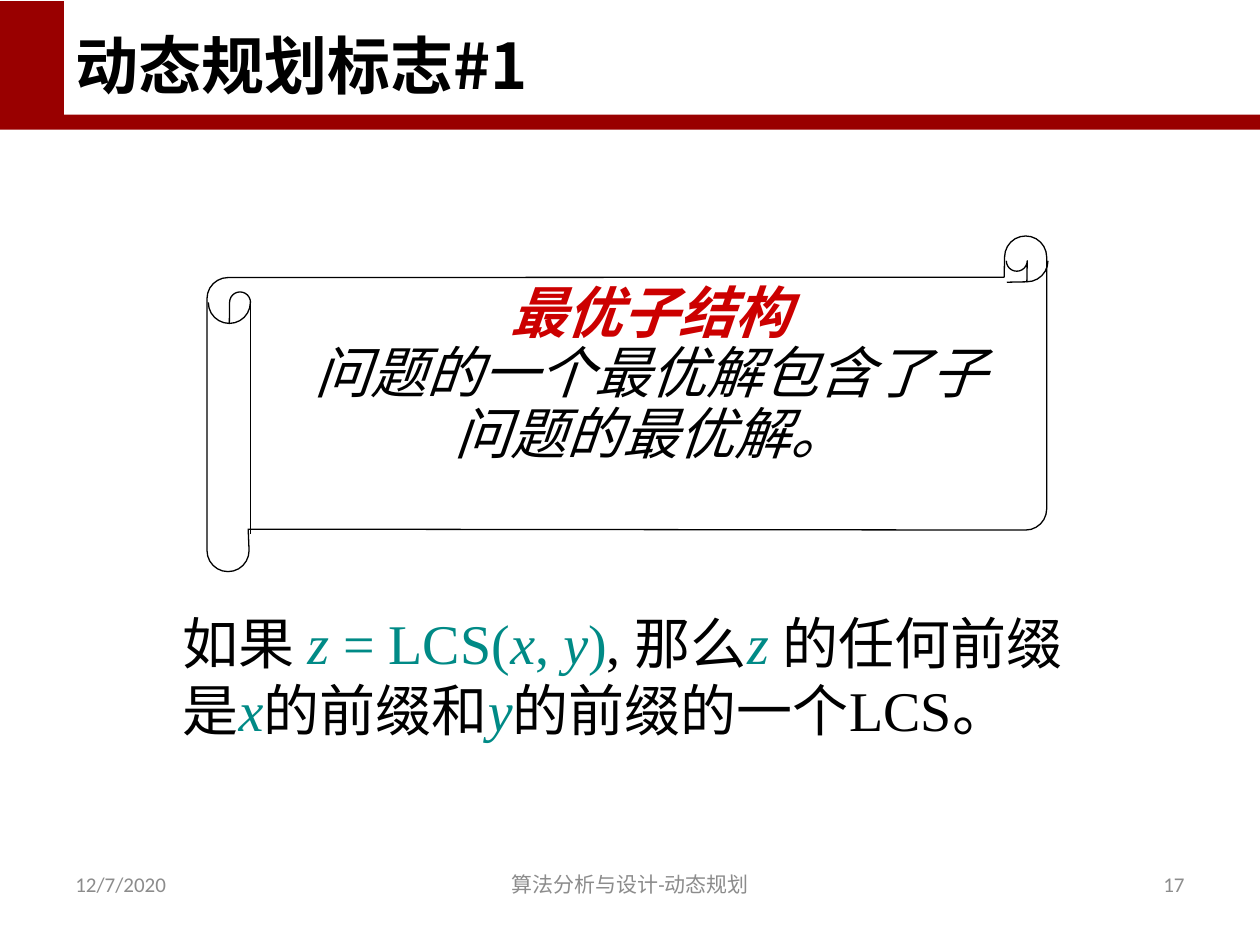
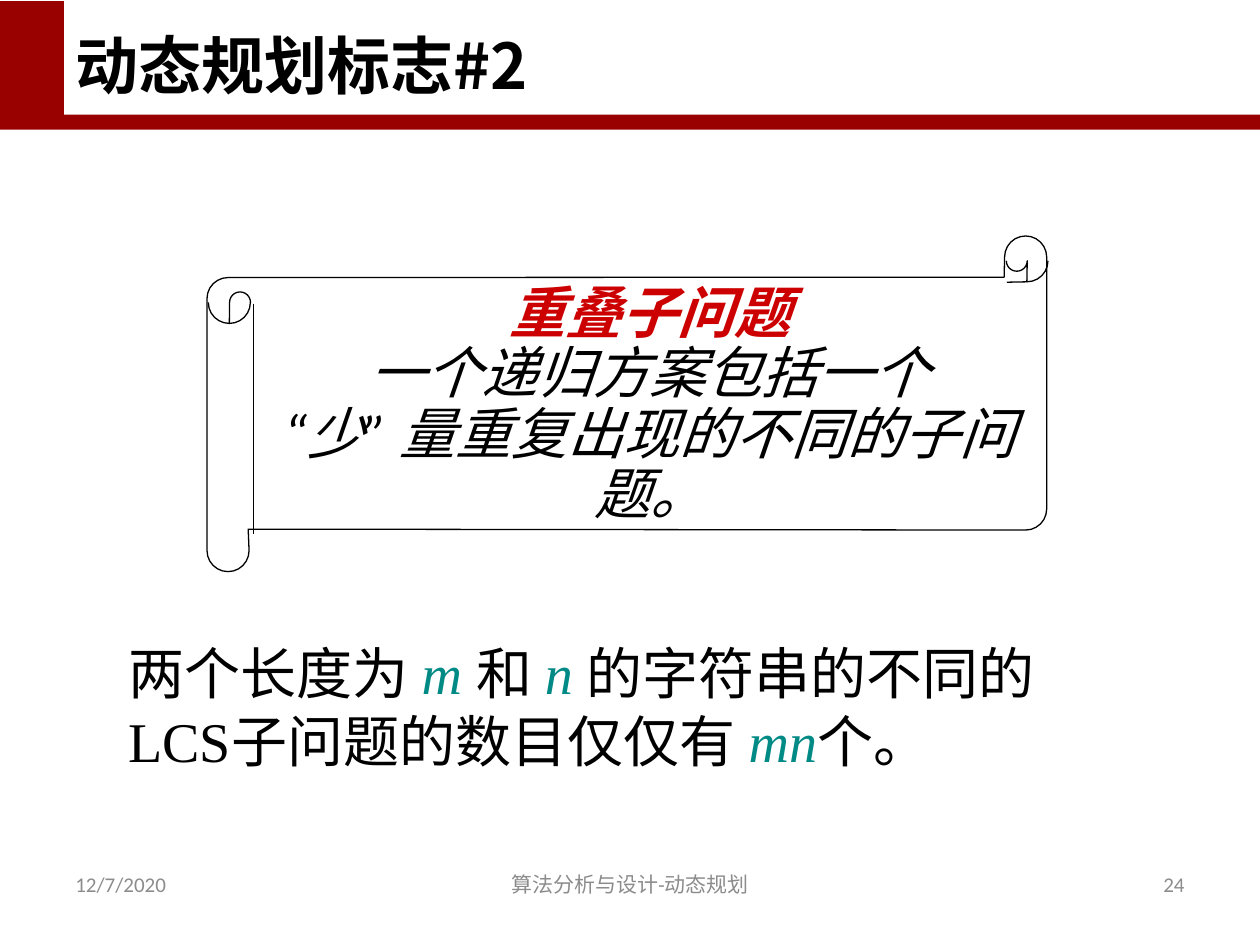
"""Build two slides on the hallmarks of dynamic programming."""
import dataclasses
import math

import pptx
import pptx.dml.color
import pptx.enum.shapes
import pptx.enum.text
import pptx.oxml.ns
import pptx.util
from lxml import etree


@dataclasses.dataclass(frozen=True)
class Style:
    size: int
    color: str
    font: str = "Times New Roman"
    asian_font: str = "Calibri"
    bold: bool = False
    italic: bool = False


@dataclasses.dataclass(frozen=True)
class Theme:
    band: str = "990000"
    paper: str = "FFFFFF"
    ink: str = "000000"
    outline_points: float = 0.75
    title: Style = Style(36, "000000", "Noto Sans CJK SC", "Noto Sans CJK SC", bold=True)
    footer: Style = Style(12, "8C8C8C", "Calibri")
    body: Style = Style(32, "000000")
    formula: Style = Style(32, "008A86")
    variable: Style = Style(32, "008A86", italic=True)
    hallmark: Style = Style(32, "CC0000", bold=True, italic=True)
    statement: Style = Style(32, "000000", italic=True)


theme = Theme()
rgb = pptx.dml.color.RGBColor.from_string
align = pptx.enum.text.PP_ALIGN
anchor = pptx.enum.text.MSO_ANCHOR

presentation = pptx.Presentation()
presentation.slide_width = pptx.util.Inches(10)
presentation.slide_height = pptx.util.Inches(7.5)
column = presentation.slide_width // 100
row = presentation.slide_height // 75


def arc(center_x, center_y, radius, start, end):
    """Return grid points along an arc, in clockwise degrees from the right."""
    steps = abs(end - start) // 15
    angles = [math.radians(start + (end - start) * step / steps) for step in range(steps + 1)]
    return [(center_x + radius * math.cos(a), center_y + radius * math.sin(a)) for a in angles]


def add_text(slide, box, paragraphs, alignment=align.LEFT, vertical=anchor.TOP,
             margins=(0, 0), spacing=1.0, indent=0):
    """Add a text box on the grid, one run per (text, style) pair."""
    left, top, width, height = box
    shape = slide.shapes.add_textbox(
        round(left * column), round(top * row), round(width * column), round(height * row))
    frame = shape.text_frame
    frame.word_wrap = True
    frame.vertical_anchor = vertical
    frame.margin_left = frame.margin_right = round(margins[0] * column)
    frame.margin_top = frame.margin_bottom = round(margins[1] * row)
    for index, runs in enumerate(paragraphs):
        paragraph = frame.paragraphs[0] if index == 0 else frame.add_paragraph()
        paragraph.alignment = alignment
        paragraph.line_spacing = spacing
        if indent:
            properties = paragraph._p.get_or_add_pPr()
            properties.set("marL", str(indent * column))
            properties.set("indent", "0")
        for text, style in runs:
            run = paragraph.add_run()
            run.text = text
            run.font.name = style.font
            run.font.size = pptx.util.Pt(style.size)
            run.font.bold = style.bold
            run.font.italic = style.italic
            run.font.color.rgb = rgb(style.color)
            asian = etree.SubElement(run._r.get_or_add_rPr(), pptx.oxml.ns.qn("a:ea"))
            asian.set("typeface", style.asian_font)


scroll_outline = [
    *arc(18.1, 23.7, 1.67, 180, 270), (79.7, 22),
    *arc(81.4, 20.4, 1.67, 180, 360),
    *arc(81.4, 40.4, 1.67, 0, 90), (19.7, 42),
    *arc(18.1, 43.7, 1.67, 0, 180),
]
left_curl = [*arc(18.2, 24, 1.67, 180, 0), *arc(19.05, 24, 0.83, 0, -180), (18.2, 25.7)]
right_fold = [*arc(81.5, 20.7, 1.67, 0, 90), (79.9, 22.4)]
right_curl = [*arc(80.7, 20.7, 0.83, 180, 0), (81.5, 22.4)]
scroll_parts = [(scroll_outline, True), (left_curl, False),
                (right_fold, False), (right_curl, False)]
bands = [((0, 0.1, 100, 10.2), theme.band), ((5.1, 0, 94.9, 9.1), theme.paper)]

hallmarks = [
    {
        "title": "动态规划标志#1",
        "page": "17",
        "spine": (19.9, 24),
        "scroll_box": (21.2, 22.6, 58.9, 20.4),
        "scroll": [("最优子结构", theme.hallmark),
                   ("问题的一个最优解包含了子问题的最优解。", theme.statement)],
        "example_box": (14.5, 48.3, 72.3, 9.2),
        "example": [
            ("如果 ", theme.body), ("z ", theme.variable), ("= LCS(", theme.formula),
            ("x", theme.variable), (", ", theme.formula), ("y", theme.variable),
            (")", theme.formula), (", 那么", theme.body), ("z ", theme.variable),
            ("的任何前缀 是", theme.body), ("x", theme.variable), ("的前缀和", theme.body),
            ("y", theme.variable), ("的前缀的一个LCS。", theme.body),
        ],
    },
    {
        "title": "动态规划标志#2",
        "page": "24",
        "spine": (20.1, 24.1),
        "scroll_box": (18.9, 22.6, 63.4, 20.4),
        "scroll": [("重叠子问题", theme.hallmark),
                   ("一个递归方案包括一个", theme.statement),
                   ("“少” 量重复出现的不同的子问题。", theme.statement)],
        "example_box": (10.2, 50.7, 80, 9.2),
        "example": [
            ("两个长度为 ", theme.body), ("m ", theme.variable), ("和 ", theme.body),
            ("n ", theme.variable), ("的字符串的不同的LCS子问题的数目仅仅有 ", theme.body),
            ("mn", theme.variable), ("个。", theme.body),
        ],
    },
]

for hallmark in hallmarks:
    slide = presentation.slides.add_slide(presentation.slide_layouts[6])

    for (left, top, width, height), color in bands:
        band = slide.shapes.add_shape(
            pptx.enum.shapes.MSO_SHAPE.RECTANGLE, round(left * column), round(top * row),
            round(width * column), round(height * row))
        band.shadow.inherit = False
        band.fill.solid()
        band.fill.fore_color.rgb = rgb(color)
        band.line.fill.background()

    add_text(slide, (5, 1.4, 90, 7.2), [[(hallmark["title"], theme.title)]],
             vertical=anchor.BOTTOM, margins=(1, 0.5))

    for points, closed in scroll_parts:
        corners = [(round(x * column), round(y * row)) for x, y in points]
        builder = slide.shapes.build_freeform(*corners[0])
        builder.add_line_segments(corners[1:], close=closed)
        part = builder.convert_to_shape()
        part.shadow.inherit = False
        part.fill.background()
        part.line.color.rgb = rgb(theme.ink)
        part.line.width = pptx.util.Pt(theme.outline_points)

    spine_x, spine_top = (round(value * column) for value in hallmark["spine"])
    spine = slide.shapes.add_connector(
        pptx.enum.shapes.MSO_CONNECTOR.STRAIGHT, spine_x, spine_top,
        spine_x, round(42.4 * row))
    spine.line.color.rgb = rgb(theme.ink)
    spine.line.width = pptx.util.Pt(theme.outline_points)
    etree.SubElement(spine._element.spPr, pptx.oxml.ns.qn("a:effectLst"))

    add_text(slide, hallmark["scroll_box"], [[run] for run in hallmark["scroll"]],
             align.CENTER, spacing=0.9, indent=2)
    add_text(slide, hallmark["example_box"], [hallmark["example"]])

    footers = [
        (5, 23.3, "12/7/2020", align.LEFT),
        (31.1, 37.8, "算法分析与设计-动态规划", align.CENTER),
        (71.7, 23.3, hallmark["page"], align.RIGHT),
    ]
    for left, width, text, alignment in footers:
        add_text(slide, (left, 68.2, width, 4), [[(text, theme.footer)]],
                 alignment, anchor.MIDDLE, margins=(1, 0.5))

presentation.save("out.pptx")
